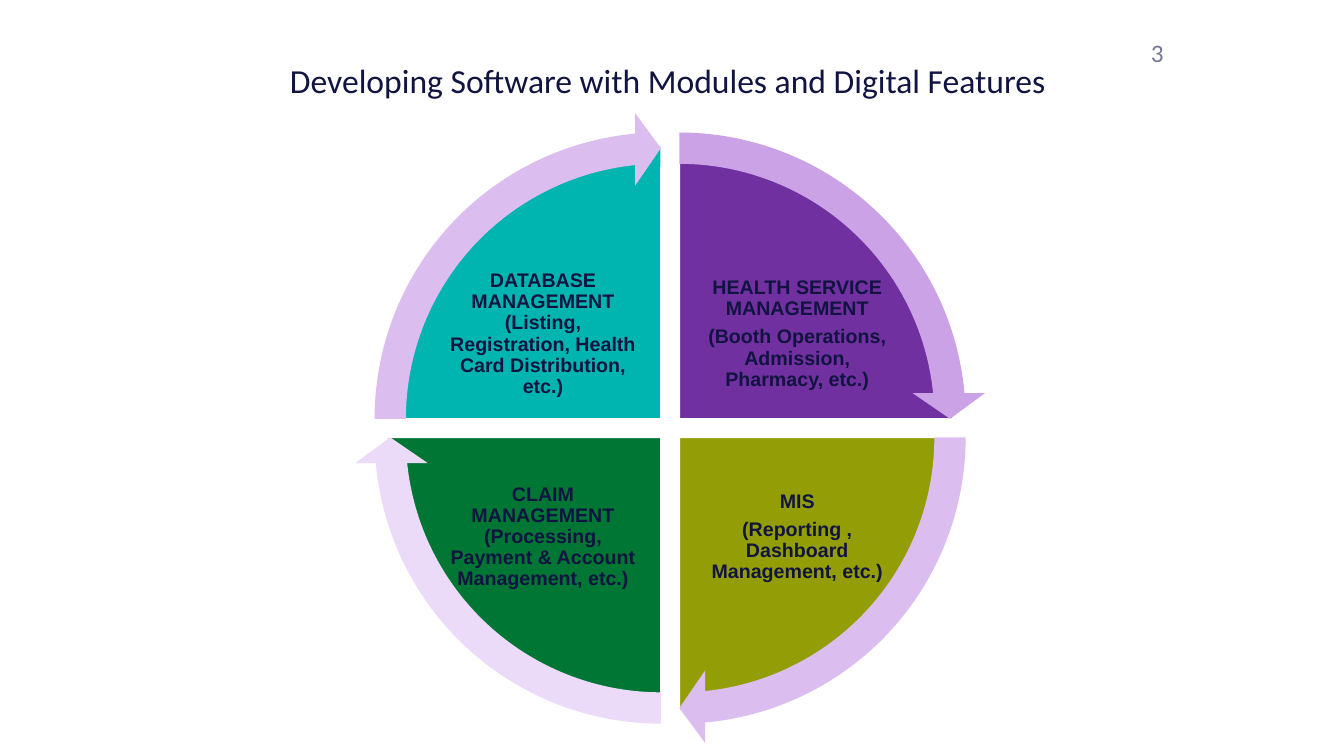
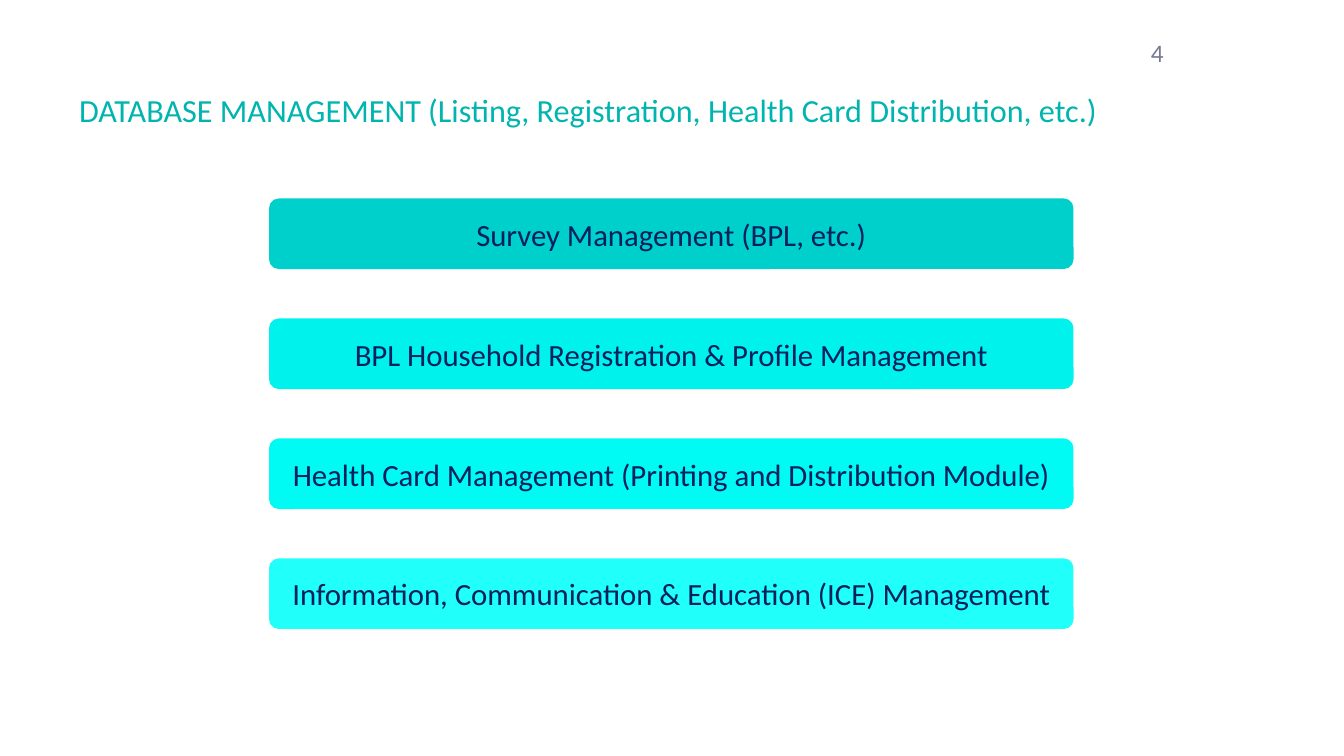
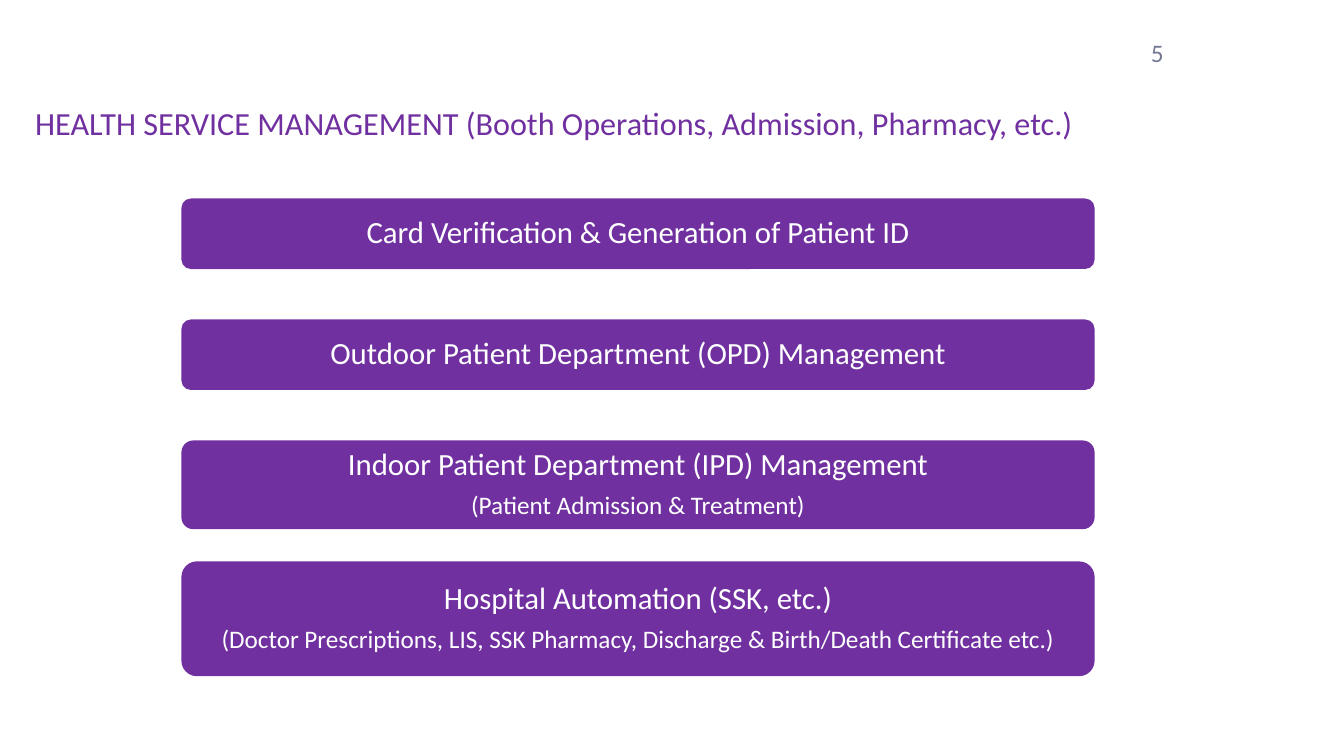
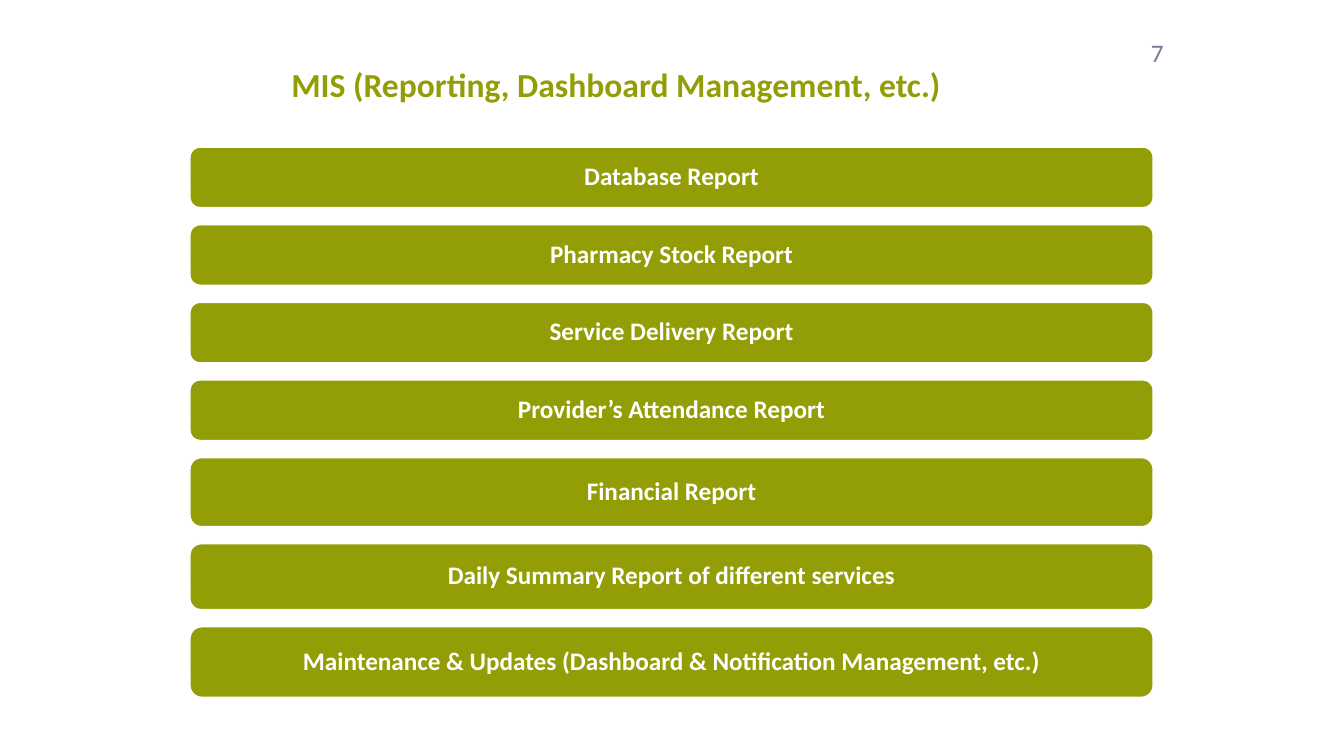
import pptx
import pptx.util
import pptx.dml.color
import pptx.enum.shapes
import pptx.enum.text

Pt = pptx.util.Pt
RGB = pptx.dml.color.RGBColor
SHAPE = pptx.enum.shapes.MSO_SHAPE
ALIGN = pptx.enum.text.PP_ALIGN
MIDDLE = pptx.enum.text.MSO_ANCHOR.MIDDLE
TOP = pptx.enum.text.MSO_ANCHOR.TOP

# Shared colours and fonts
WHITE = RGB(0xFF, 0xFF, 0xFF)
INK = RGB(0x11, 0x13, 0x40)
NAVY = RGB(0x00, 0x20, 0x60)
GREY = RGB(0x74, 0x7A, 0x94)
TEAL = RGB(0x00, 0xB4, 0xB0)
PURPLE = RGB(0x70, 0x30, 0xA0)
OLIVE = RGB(0x93, 0x9E, 0x06)
GREEN = RGB(0x00, 0x76, 0x35)
LILAC = RGB(0xCB, 0xA2, 0xE6)
LILAC_LIGHT = RGB(0xDB, 0xBD, 0xF0)
LILAC_PALE = RGB(0xEB, 0xDA, 0xF8)
BODY_FONT, WHEEL_FONT = "Calibri", "Arial"

# Wheel: side, level, start angle, pie colour, arrow colour, label
QUADRANTS = [
    (1, -1, 270, PURPLE, LILAC,
     ["HEALTH SERVICE MANAGEMENT", "(Booth Operations, Admission, Pharmacy, etc.)"]),
    (1, 1, 0, OLIVE, LILAC_LIGHT,
     ["MIS", "(Reporting , Dashboard Management, etc.)"]),
    (-1, 1, 90, GREEN, LILAC_PALE,
     ["CLAIM MANAGEMENT (Processing, Payment & Account Management, etc.)"]),
    (-1, -1, 180, TEAL, LILAC_LIGHT,
     ["DATABASE MANAGEMENT (Listing, Registration, Health Card Distribution, etc.)"]),
]

# Cards: height, fill, lines as (text, size)
DATABASE_CARDS = [
    (50.4, RGB(0x00, 0xD0, 0xCB), [("Survey Management (BPL, etc.)", 22)]),
    (50.4, RGB(0x00, 0xF2, 0xEC), [("BPL Household Registration & Profile Management", 22)]),
    (50.4, RGB(0x00, 0xFA, 0xF4),
     [("Health Card Management (Printing and Distribution Module)", 22)]),
    (50.4, RGB(0x21, 0xFF, 0xFA),
     [("Information, Communication & Education (ICE) Management", 22)]),
]
HEALTH_CARDS = [
    (50.4, PURPLE, [("Card Verification & Generation of Patient ID", 22)]),
    (50.4, PURPLE, [("Outdoor Patient Department (OPD) Management", 22)]),
    (63.4, PURPLE, [("Indoor Patient Department (IPD) Management", 22),
                    ("(Patient Admission & Treatment)", 18)]),
    (82, PURPLE, [("Hospital Automation (SSK, etc.)", 22),
                  ("(Doctor Prescriptions, LIS, SSK Pharmacy, Discharge & "
                   "Birth/Death Certificate etc.)", 18)]),
]
REPORTS = [
    ("Database Report", 43.2),
    ("Pharmacy Stock Report", 43.2),
    ("Service Delivery Report", 43.2),
    ("Provider’s Attendance Report", 43.2),
    ("Financial Report", 49.3),
    ("Daily Summary Report of different services", 47),
    ("Maintenance & Updates (Dashboard & Notification Management, etc.)", 50.4),
]
REPORT_CARDS = [(height, OLIVE, [(text, 18)]) for text, height in REPORTS]


def write(tf, lines, color, font=BODY_FONT, bold=False, align=ALIGN.CENTER,
          anchor=MIDDLE, spacing=1.0):
    """Fill a frame with one paragraph per (text, size)."""
    tf.word_wrap = True
    tf.vertical_anchor = anchor
    for i, (text, size) in enumerate(lines):
        p = tf.paragraphs[0] if i == 0 else tf.add_paragraph()
        p.text = text
        p.alignment = align
        p.line_spacing = spacing
        if i < len(lines) - 1:
            p.space_after = Pt(0.35 * size)
        f = p.runs[0].font
        f.name, f.size, f.bold = font, Pt(size), bold
        f.color.rgb = color


def add_text(s, box, lines, color, **style):
    sp = s.shapes.add_textbox(*map(Pt, box))
    write(sp.text_frame, lines, color, **style)
    return sp


def add_shape(s, kind, box, fill, adjustments=(), outline=None):
    sp = s.shapes.add_shape(kind, *map(Pt, box))
    sp.shadow.inherit = False
    sp.fill.solid()
    sp.fill.fore_color.rgb = fill
    if outline is None:
        sp.line.fill.background()
    else:
        sp.line.color.rgb = outline
        sp.line.width = Pt(1)
    for i, value in enumerate(adjustments):
        sp.adjustments[i] = value
    return sp


def new_slide(prs, number, title, box, size, color, bold=False, align=ALIGN.CENTER):
    s = prs.slides.add_slide(prs.slide_layouts[6])
    add_text(s, (815, 23, 66, 60), [(str(number), 18)], GREY, align=ALIGN.LEFT, anchor=TOP)
    add_text(s, box, [(title, size)], color, bold=bold, align=align)
    return s


def angle(degrees):
    """Degrees as a preset adjustment (60000ths, scaled by 100000)."""
    return degrees % 360 * 0.6


def add_wheel(s):
    cx, cy, split = 478.7, 305.8, 6.6
    pie_r, arrow_r = 195.1, 219.2
    label_w, label_h = 144, 106.6
    arrows = []
    for side, level, start, fill, arrow_fill, label in QUADRANTS:
        x, y = cx + side * split, cy + level * split
        add_shape(s, SHAPE.PIE, (x - pie_r, y - pie_r, 2 * pie_r, 2 * pie_r), fill,
                  (angle(start), angle(start + 90)), WHITE)
        # Labels sit in the inner corner of each quarter; lower ones hang further down
        left = x + side * (12.2 + label_w / 2) - label_w / 2
        top = y + 18 if level > 0 else y - 7.2 - label_h
        sp = add_text(s, (left, top, label_w, label_h), [(text, 14) for text in label],
                      INK, font=WHEEL_FONT, bold=True, spacing=0.9)
        tf = sp.text_frame
        tf.margin_left = tf.margin_right = tf.margin_top = tf.margin_bottom = Pt(1.4)
        arrows.append((x, y, start, arrow_fill))
    for x, y, start, fill in arrows:
        add_shape(s, SHAPE.CIRCULAR_ARROW,
                  (x - arrow_r, y - arrow_r, 2 * arrow_r, 2 * arrow_r), fill,
                  (0.051, 3.275, angle(start + 84.54), angle(start), 0.059))


def add_cards(s, cards, left, top, width, color, pitch=None, gap=0, corner=0.135,
              outline=None, **style):
    """Stack cards at a fixed pitch, or else with a fixed gap."""
    for height, fill, lines in cards:
        sp = add_shape(s, SHAPE.ROUNDED_RECTANGLE, (left, top, width, height), fill,
                       (corner,), outline)
        write(sp.text_frame, lines, color, **style)
        top += pitch or height + gap


def main():
    prs = pptx.Presentation()
    prs.slide_width, prs.slide_height = Pt(960), Pt(540)

    # Module wheel
    s = new_slide(prs, 3, "Developing Software with Modules and Digital Features",
                  (175, 31, 604, 52.5), 24, INK)
    add_wheel(s)

    # Database management
    s = new_slide(prs, 4, "DATABASE MANAGEMENT (Listing, Registration, "
                  "Health Card Distribution, etc.)", (28, 53.3, 785.5, 50.4), 23, TEAL)
    add_cards(s, DATABASE_CARDS, 192.2, 141.8, 574.6, NAVY, pitch=85.7)

    # Health service management
    s = new_slide(prs, 5, "HEALTH SERVICE MANAGEMENT (Booth Operations, "
                  "Admission, Pharmacy, etc.)", (18, 70, 809, 35), 23, PURPLE,
                  align=ALIGN.LEFT)
    add_cards(s, HEALTH_CARDS, 129.6, 141.8, 652.3, WHITE, pitch=86.4, spacing=0.9)

    # Reports
    s = new_slide(prs, 7, "MIS (Reporting, Dashboard Management, etc.)",
                  (201, 42, 558, 36.5), 24, OLIVE, bold=True, align=ALIGN.LEFT)
    add_cards(s, REPORT_CARDS, 135.7, 105.1, 688, WHITE, gap=12.25, corner=0.167,
              outline=WHITE, bold=True, spacing=0.9)

    prs.save("out.pptx")


if __name__ == "__main__":
    main()
